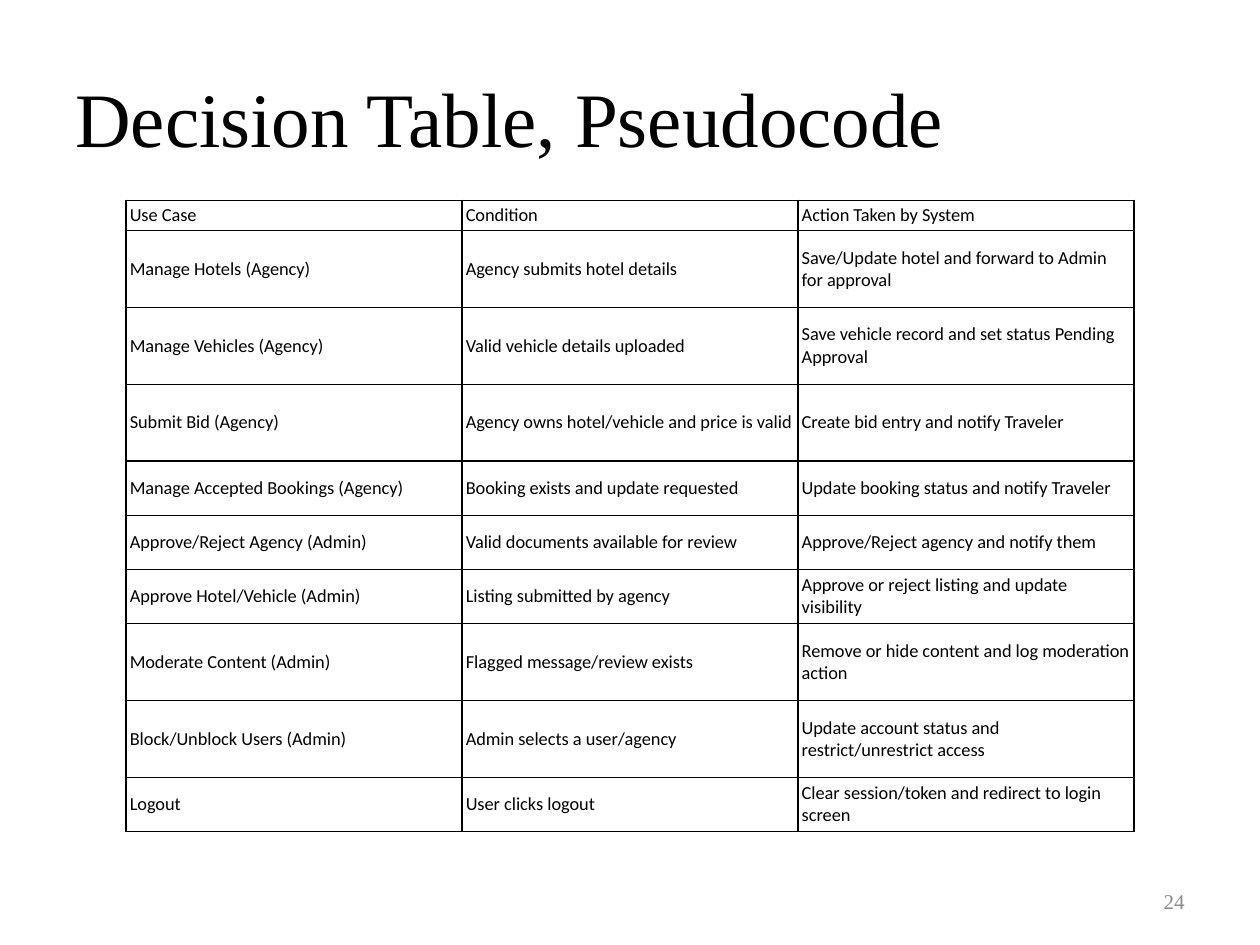
from dataclasses import dataclass

from lxml import etree
from pptx import Presentation
from pptx.dml.color import RGBColor
from pptx.enum import text
from pptx.oxml import ns
from pptx.util import Inches, Pt


@dataclass(frozen=True)
class Theme:
    """Colours, fonts and type sizes of the slide."""
    ink: str = "000000"
    muted: str = "8C8C8C"
    paper: str = "FFFFFF"
    serif: str = "Times New Roman"
    sans: str = "Calibri"
    title_size: float = 44
    number_size: float = 12
    cell_size: float = 10.5
    rule_width: float = 1


THEME = Theme()

DECISIONS = [
    ("Use Case", "Condition", "Action Taken by System"),
    ("Manage Hotels (Agency)", "Agency submits hotel details",
     "Save/Update hotel and forward to Admin for approval"),
    ("Manage Vehicles (Agency)", "Valid vehicle details uploaded",
     "Save vehicle record and set status Pending Approval"),
    ("Submit Bid (Agency)", "Agency owns hotel/vehicle and price is valid",
     "Create bid entry and notify Traveler"),
    ("Manage Accepted Bookings (Agency)", "Booking exists and update requested",
     "Update booking status and notify Traveler"),
    ("Approve/Reject Agency (Admin)", "Valid documents available for review",
     "Approve/Reject agency and notify them"),
    ("Approve Hotel/Vehicle (Admin)", "Listing submitted by agency",
     "Approve or reject listing and update visibility"),
    ("Moderate Content (Admin)", "Flagged message/review exists",
     "Remove or hide content and log moderation action"),
    ("Block/Unblock Users (Admin)", "Admin selects a user/agency",
     "Update account status and restrict/unrestrict access"),
    ("Logout", "User clicks logout",
     "Clear session/token and redirect to login screen"),
]
HEADER, SHORT, TALL = 0.24, 0.43, 0.61
ROW_HEIGHTS = [HEADER] + [TALL] * 3 + [SHORT] * 3 + [TALL] * 2 + [SHORT]


def style_runs(paragraph, face, size, color):
    """Format every run of a paragraph."""
    for run in paragraph.runs:
        run.font.name = face
        run.font.size = Pt(size)
        run.font.color.rgb = RGBColor.from_string(color)


def add_line_of_text(slide, box, words, size, color, align):
    """Add a vertically centred serif text box."""
    frame = slide.shapes.add_textbox(*map(Inches, box)).text_frame
    frame.word_wrap = True
    frame.vertical_anchor = text.MSO_ANCHOR.MIDDLE
    frame.text = words
    frame.paragraphs[0].alignment = align
    style_runs(frame.paragraphs[0], THEME.serif, size, color)


def add_borders(cell):
    """Rule all four sides of a cell."""
    properties = cell._tc.get_or_add_tcPr()
    for position, side in enumerate(("lnL", "lnR", "lnT", "lnB")):
        rule = etree.Element(ns.qn(f"a:{side}"), w=str(Pt(THEME.rule_width)))
        fill = etree.SubElement(rule, ns.qn("a:solidFill"))
        etree.SubElement(fill, ns.qn("a:srgbClr"), val=THEME.ink)
        properties.insert(position, rule)


def fill_cell(cell, words):
    """Write and format one table cell."""
    cell.text = words
    cell.vertical_anchor = text.MSO_ANCHOR.MIDDLE
    cell.margin_left = cell.margin_right = Inches(0.03)
    cell.margin_top = cell.margin_bottom = Inches(0.01)
    cell.fill.solid()
    cell.fill.fore_color.rgb = RGBColor.from_string(THEME.paper)
    style_runs(cell.text_frame.paragraphs[0], THEME.sans, THEME.cell_size, THEME.ink)
    add_borders(cell)


def add_decision_table(slide, left, top, width):
    """Add the ruled table of use cases, conditions and actions."""
    table = slide.shapes.add_table(
        len(DECISIONS), len(DECISIONS[0]), Inches(left), Inches(top),
        Inches(width), Inches(sum(ROW_HEIGHTS))).table
    table.first_row = table.horz_banding = False
    for row, height, decision in zip(table.rows, ROW_HEIGHTS, DECISIONS):
        row.height = Inches(height)
        for cell, words in zip(row.cells, decision):
            fill_cell(cell, words)


def main():
    """Build and save the slide."""
    deck = Presentation()
    deck.slide_width, deck.slide_height = Inches(10), Inches(7.5)
    slide = deck.slides.add_slide(deck.slide_layouts[6])
    add_line_of_text(slide, (0.5, 0.3, 9, 1.25), "Decision Table, Pseudocode",
                     THEME.title_size, THEME.ink, text.PP_ALIGN.LEFT)
    add_line_of_text(slide, (7.17, 6.95, 2.33, 0.4), "24",
                     THEME.number_size, THEME.muted, text.PP_ALIGN.RIGHT)
    add_decision_table(slide, 1, 1.59, 8)
    deck.save("out.pptx")


if __name__ == "__main__":
    main()
